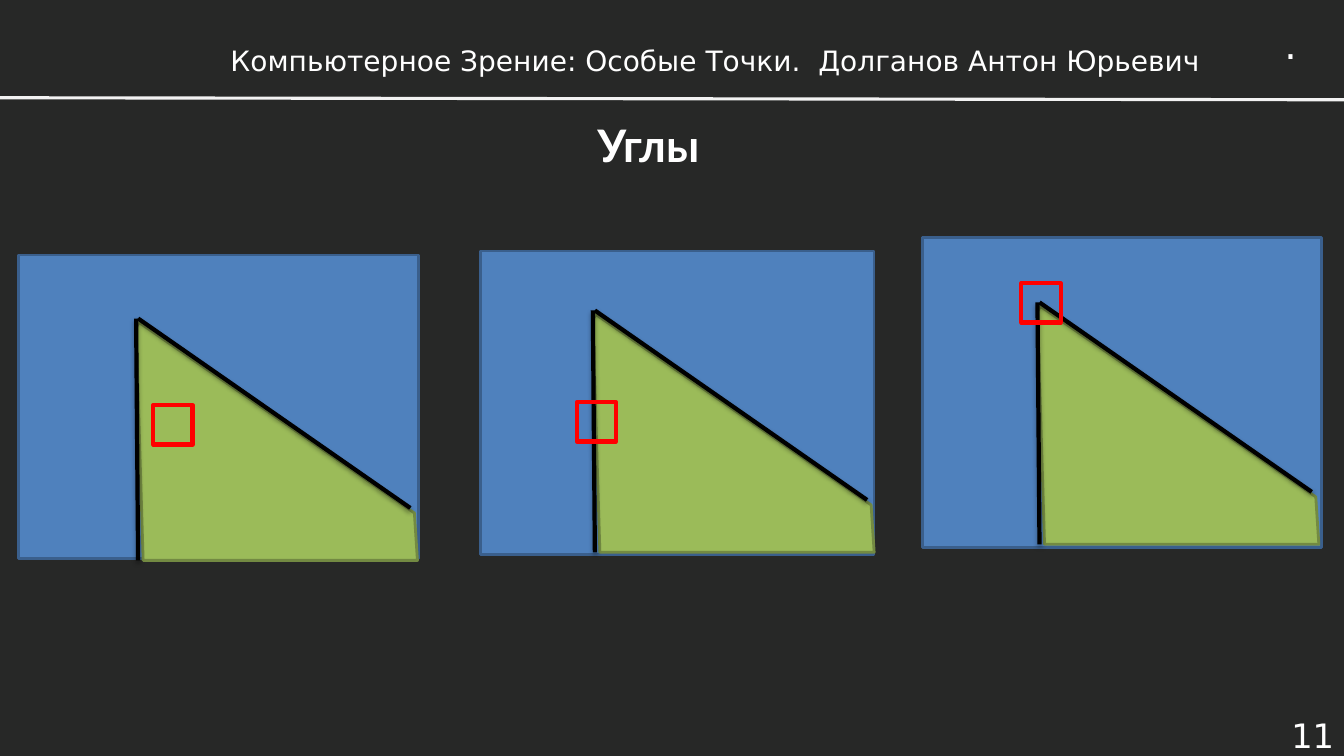
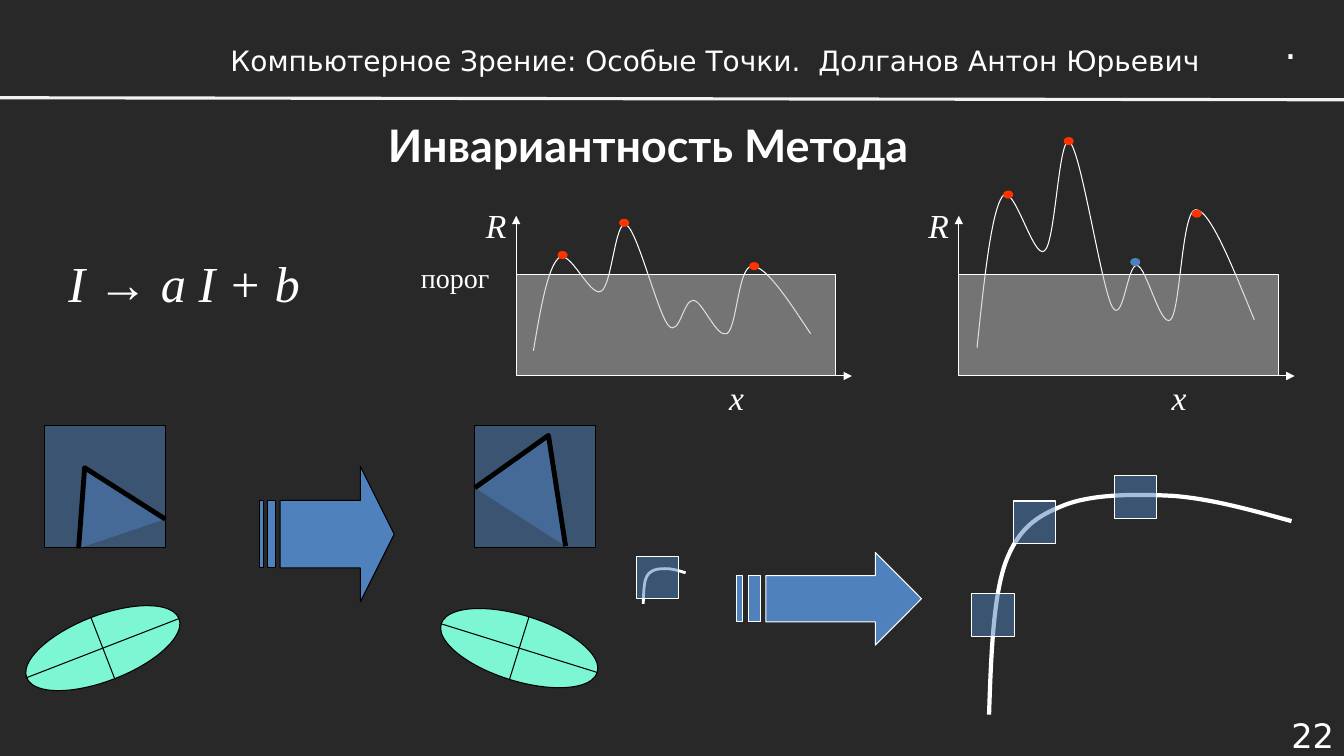
from math import cos, radians, sin

from lxml.etree import SubElement
from pptx import Presentation
from pptx.dml.color import RGBColor as Color
from pptx.enum.shapes import MSO_CONNECTOR as Link, MSO_SHAPE as Preset
from pptx.enum.text import MSO_ANCHOR as Anchor, PP_ALIGN as Align
from pptx.oxml.ns import qn
from pptx.util import Cm, Pt

CM_PER_UNIT = 2.54


class Theme:
    background = "272827"
    text = "FFFFFF"
    white = "FFFFFF"
    black = "000000"
    rule = "F2F2F2"
    blue = "4F81BD"
    blue_edge = "3A5F8C"
    green = "9BBB59"
    green_edge = "738A42"
    window = "FF0000"
    peak = "FF3300"
    grey = "C0C0C0"
    mint = "7CF6D3"
    thin = 0.75
    bold_line = 3
    title = {"name": "Lato", "size": Pt(32), "bold": True}
    header = {"name": "DejaVu Sans", "size": Pt(20)}
    number = {"name": "DejaVu Sans", "size": Pt(24)}
    mark = {"name": "DejaVu Sans", "size": Pt(28)}
    label = {"name": "Times New Roman", "size": Pt(20)}
    axis = {"name": "Times New Roman", "size": Pt(24), "italic": True}
    formula = {"name": "Times New Roman", "size": Pt(36), "italic": True}
    formula_sign = {"name": "Times New Roman", "size": Pt(36), "italic": False}


HEADER = "Компьютерное Зрение: Особые Точки.  Долганов Антон Юрьевич "

WEDGE = [(0, 0.05), (0.07, 2.36), (2.79, 2.36), (2.76, 1.89), (0.03, 0)]
WEDGE_EDGES = [((0, -0.04), (0.02, 2.36)), ((0.02, -0.04), (2.72, 1.84))]
WINDOW = 0.39

PANELS = [
    ((0.18, 2.53, 3.97, 3.01), (1.35, 3.2), (1.52, 4.02)),
    ((4.77, 2.49, 3.9, 3.01), (5.88, 3.12), (5.72, 3.99)),
    ((9.15, 2.36, 3.96, 3.07), (10.29, 3.04), (10.13, 2.81)),
]

RESPONSE = [
    (5.29, 3.48), (5.36, 3.07), (5.43, 2.66), (5.54, 2.56), (5.65, 2.46),
    (5.85, 2.95), (5.96, 2.89), (6.07, 2.84), (6.1, 2.17), (6.21, 2.23),
    (6.32, 2.28), (6.52, 3.1), (6.63, 3.23), (6.74, 3.35), (6.78, 2.96),
    (6.88, 2.98), (6.97, 2.99), (7.11, 3.36), (7.21, 3.31), (7.31, 3.25),
    (7.32, 2.64), (7.46, 2.64), (7.6, 2.64), (7.82, 2.98), (8.04, 3.31),
]
RESPONSE_GAIN = 1.63

PEAKS = [
    (5.53, 2.49, Theme.peak), (6.14, 2.17, Theme.peak), (7.43, 2.6, Theme.peak),
    (9.95, 1.89, Theme.peak), (10.55, 1.36, Theme.peak),
    (11.21, 2.56, Theme.blue), (11.82, 2.08, Theme.peak),
]

ARC = [
    (0, 2.19), (0.02, 1.61), (0.04, 1.04), (0.16, 0.69), (0.29, 0.34),
    (0.47, 0.22), (0.75, 0.11), (1.03, 0), (1.46, 0), (1.83, 0.02),
    (2.21, 0.05), (2.6, 0.16), (3, 0.27),
]


def length(value):
    return Cm(value * CM_PER_UNIT)


def lengths(values):
    return [length(value) for value in values]


def moved(points, left, top, scale=(1, 1)):
    return [(left + x * scale[0], top + y * scale[1]) for x, y in points]


def paint(shape, fill=None, line=None, width=Theme.thin, alpha=None):
    shape.shadow.inherit = False
    if fill:
        shape.fill.solid()
        shape.fill.fore_color.rgb = Color.from_string(fill)
        if alpha:
            color = shape._element.spPr.find(qn("a:solidFill"))[0]
            SubElement(color, qn("a:alpha"), val=str(alpha * 1000))
    else:
        shape.fill.background()
    if line:
        shape.line.color.rgb = Color.from_string(line)
        shape.line.width = Pt(width)
    else:
        shape.line.fill.background()
    return shape


def add_preset(page, preset, area, **look):
    return paint(page.shapes.add_shape(preset, *lengths(area)), **look)


def add_outline(page, contours, closed=True, **look):
    builder = None
    for contour in contours:
        first, *rest = [lengths(point) for point in contour]
        if builder is None:
            builder = page.shapes.build_freeform(*first, scale=1.0)
        else:
            builder.move_to(*first)
        builder.add_line_segments(rest, close=closed)
    return paint(builder.convert_to_shape(), **look)


def add_curve(page, points, width=Theme.thin):
    curve = add_outline(page, [points], closed=False, line=Theme.white, width=width)
    segments = list(curve._element.iter(qn("a:lnTo")))
    outline = segments[0].getparent()
    for start in range(0, len(segments), 3):
        bezier = SubElement(outline, qn("a:cubicBezTo"))
        for segment in segments[start:start + 3]:
            bezier.append(segment[0])
            outline.remove(segment)


def add_line(page, start, end, color, width=Theme.thin, arrow=False, shadow=False):
    link = page.shapes.add_connector(Link.STRAIGHT, *lengths(start + end))
    link.line.color.rgb = Color.from_string(color)
    link.line.width = Pt(width)
    outline = link._element.spPr
    if arrow:
        SubElement(outline.find(qn("a:ln")), qn("a:tailEnd"), type="triangle")
    effects = SubElement(outline, qn("a:effectLst"))
    if shadow:
        outer = SubElement(effects, qn("a:outerShdw"), blurRad="40000", dist="23000",
                           dir="5400000", rotWithShape="0")
        tint = SubElement(outer, qn("a:srgbClr"), val=Theme.black)
        SubElement(tint, qn("a:alpha"), val="35000")


def add_text(page, area, spans, align=Align.LEFT, anchor=Anchor.TOP, wrap=True):
    frame = page.shapes.add_textbox(*lengths(area)).text_frame
    for name, value in {"word_wrap": wrap, "vertical_anchor": anchor}.items():
        setattr(frame, name, value)
    para = frame.paragraphs[0]
    para.alignment = align
    for text, style in spans:
        span = para.add_run()
        span.text = text
        for name, value in style.items():
            setattr(span.font, name, value)
        span.font.color.rgb = Color.from_string(Theme.text)


def add_page(deck, title, number):
    page = deck.slides.add_slide(deck.slide_layouts[6])
    add_text(page, (2.1, 0.98, 8.66, 0.91), [(title, Theme.title)],
             Align.CENTER, Anchor.MIDDLE)
    add_text(page, (12.28, 7.08, 1.05, 0.42), [(number, Theme.number)],
             Align.RIGHT, Anchor.MIDDLE)
    add_line(page, (0, 0.97), (13.33, 0.99), Theme.rule, 2.25)
    add_text(page, (12.64, 0.15, 0.34, 0.57), [(".", Theme.mark)], wrap=False)
    add_text(page, (1.55, 0.45, 11.18, 0.3), [(HEADER, Theme.header)],
             Align.CENTER, Anchor.MIDDLE)
    return page


def add_corner_panel(page, frame, wedge, window):
    add_preset(page, Preset.RECTANGLE, frame, fill=Theme.blue,
               line=Theme.blue_edge, width=2)
    add_outline(page, [moved(WEDGE, *wedge)], fill=Theme.green,
                line=Theme.green_edge, width=2)
    for edge in WEDGE_EDGES:
        add_line(page, *moved(edge, *wedge), Theme.black, Theme.bold_line, shadow=True)
    add_preset(page, Preset.RECTANGLE, window + (WINDOW, WINDOW),
               line=Theme.window, width=Theme.bold_line)


def add_plot(page, left, curve):
    base = 3.73
    add_curve(page, curve)
    for end in ((left + 3.33, base), (left, 2.14)):
        add_line(page, (left, base), end, Theme.white, arrow=True)
    for text, area in (("R", (left - 0.4, 1.98, 0.4, 0.5)),
                       ("x", (left + 2.01, 3.69, 0.35, 0.51))):
        add_text(page, area, [(text, Theme.axis)], Align.CENTER, wrap=False)
    add_preset(page, Preset.RECTANGLE, (left, 2.72, 3.17, 1.01),
               fill=Theme.grey, line=Theme.white, alpha=50)


def add_striped_arrow(page, left, top, width, height, line):
    def bar(start, end):
        return [(start, 0.25), (start, 0.75), (end, 0.75), (end, 0.25)]

    head = [(0.75, 0), (0.75, 0.25), (5 / 32, 0.25), (5 / 32, 0.75),
            (0.75, 0.75), (0.75, 1), (1, 0.5)]
    contours = [head, bar(1 / 16, 1 / 8), bar(0, 1 / 32)]
    add_outline(page, [moved(contour, left, top, (width, height)) for contour in contours],
                fill=Theme.blue, line=line)


def add_ellipse_with_axes(page, center, angle):
    x, y = center
    width, height = 1.62, 0.65
    ellipse = add_preset(page, Preset.OVAL, (x - width / 2, y - height / 2, width, height),
                         fill=Theme.mint, line=Theme.black)
    ellipse.rotation = angle
    for size, turn in ((width, angle), (height, angle + 90)):
        dx, dy = size / 2 * cos(radians(turn)), size / 2 * sin(radians(turn))
        add_line(page, (x - dx, y - dy), (x + dx, y + dy), Theme.black)


def add_corner_tile(page, left, corner):
    add_preset(page, Preset.RECTANGLE, (left, 4.22, 1.2, 1.21),
               fill=Theme.blue, line=Theme.black, alpha=50)
    add_outline(page, [corner], closed=False, fill=Theme.blue,
                line=Theme.black, width=3.5, alpha=50)


def add_scale_window(page, left, top):
    add_preset(page, Preset.RECTANGLE, (left, top, 0.42, 0.42),
               fill=Theme.blue, line=Theme.white, alpha=50)


def build_corners(deck):
    page = add_page(deck, "Углы", "11")
    for panel in PANELS:
        add_corner_panel(page, *panel)


def build_invariance(deck):
    page = add_page(deck, "Инвариантность Метода", "22")

    add_curve(page, moved(ARC, 6.38, 5.64, (0.14, 0.16)), 2)
    add_curve(page, moved(ARC, 9.81, 4.9), Theme.bold_line)
    add_striped_arrow(page, 7.31, 5.48, 1.83, 0.92, Theme.white)
    for corner in ((6.31, 5.52), (11.05, 4.72), (10.05, 4.97), (9.64, 5.89)):
        add_scale_window(page, *corner)

    add_text(page, (0.58, 2.45, 3.03, 0.71), [
        ("I ", Theme.formula), ("→ ", Theme.formula_sign), ("a I + b", Theme.formula)])
    add_plot(page, 5.12, RESPONSE)
    add_plot(page, 9.51, [(x + 4.4, 3.45 - RESPONSE_GAIN * (3.48 - y)) for x, y in RESPONSE])
    add_text(page, (4.07, 2.54, 0.89, 0.44), [("порог", Theme.label)],
             Align.CENTER, wrap=False)
    for left, top, color in PEAKS:
        add_preset(page, Preset.OVAL, (left, top, 0.1, 0.08), fill=color)

    add_ellipse_with_axes(page, (1.02, 6.43), -21.2)
    add_ellipse_with_axes(page, (5.15, 6.43), 17.3)
    add_corner_tile(page, 0.44, [(0.78, 5.44), (0.84, 4.64), (1.64, 5.15)])
    add_corner_tile(page, 4.71, [(4.71, 4.84), (5.44, 4.32), (5.61, 5.42)])
    add_striped_arrow(page, 2.57, 4.63, 1.34, 1.34, Theme.black)


def main():
    deck = Presentation()
    deck.slide_width, deck.slide_height = length(13.33), length(7.5)
    fill = deck.slide_master.background.fill
    fill.solid()
    fill.fore_color.rgb = Color.from_string(Theme.background)
    build_corners(deck)
    build_invariance(deck)
    deck.save("out.pptx")


if __name__ == "__main__":
    main()
